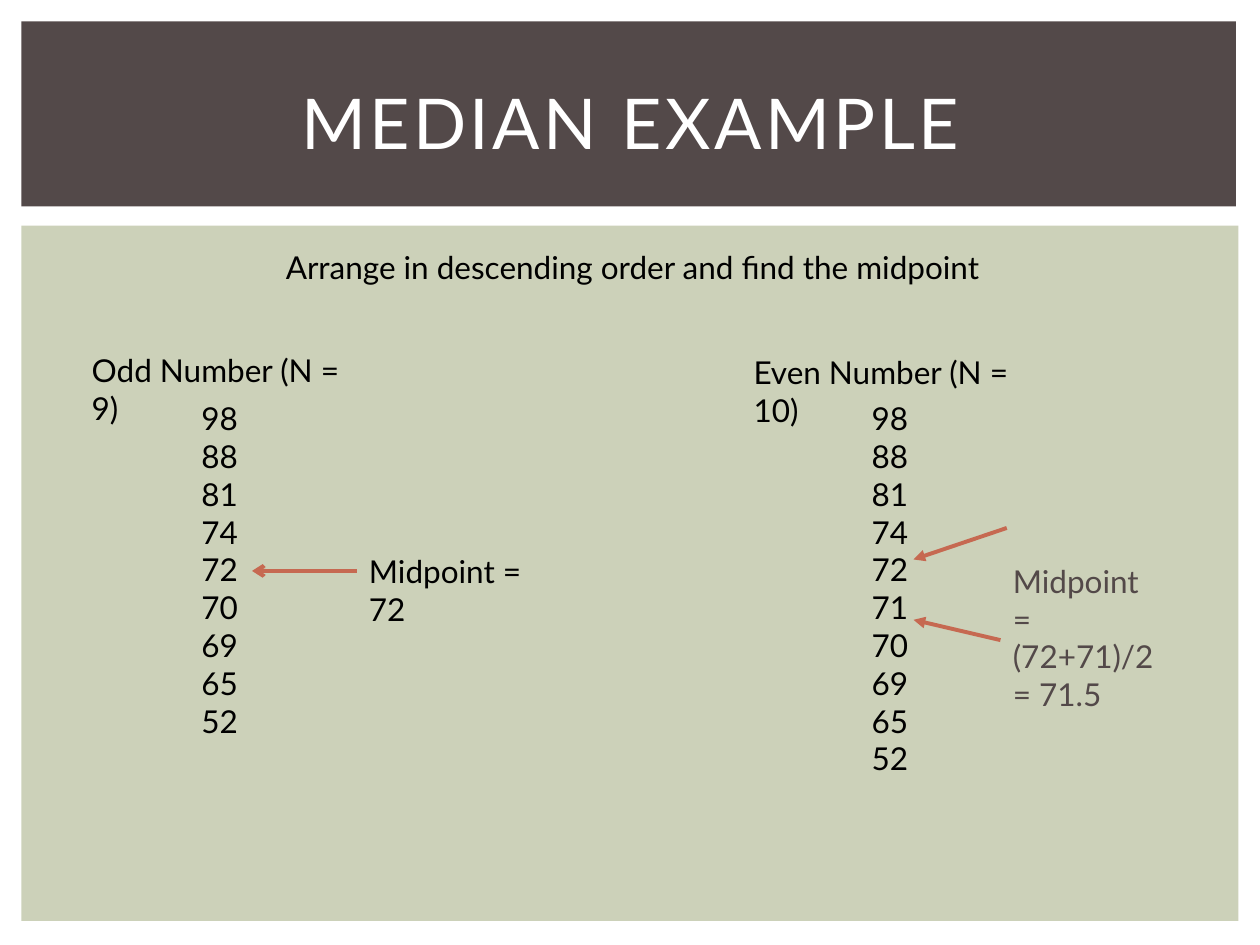
from pptx import Presentation
from pptx.dml.color import RGBColor
from pptx.enum.shapes import MSO_CONNECTOR, MSO_SHAPE
from pptx.enum.text import MSO_ANCHOR, PP_ALIGN
from pptx.oxml.ns import qn
from pptx.util import Pt
from lxml import etree

STRAIGHT = MSO_CONNECTOR.STRAIGHT
RECTANGLE = MSO_SHAPE.RECTANGLE
MIDDLE, TOP = MSO_ANCHOR.MIDDLE, MSO_ANCHOR.TOP
CENTER, LEFT = PP_ALIGN.CENTER, PP_ALIGN.LEFT
BROWN, SAGE, RUST = "534949", "CCD1B9", "C66951"


def color(value):
    return RGBColor.from_string(value)


def add_text(text, left, top, width, height, size=18, ink="000000",
             align=LEFT, anchor=TOP, spacing=0):
    box = page.shapes.add_textbox(Pt(left), Pt(top), Pt(width), Pt(height))
    frame = box.text_frame
    frame.word_wrap = True
    frame.vertical_anchor = anchor
    frame.text = text
    for para in frame.paragraphs:
        para.alignment = align
        for span in para.runs:
            span.font.name = "Lato"
            span.font.size = Pt(size)
            span.font.color.rgb = color(ink)
            if spacing:
                span.font._element.set("spc", str(spacing * 100))
    return box


deck = Presentation()
deck.slide_width, deck.slide_height = Pt(720), Pt(540)
page = deck.slides.add_slide(deck.slide_layouts[6])

for left, top, width, height, fill in [
    (12.24, 128.9, 695.5, 397.4, SAGE),
    (12.24, 12.24, 694, 105.8, BROWN),
]:
    panel = page.shapes.add_shape(RECTANGLE, Pt(left), Pt(top), Pt(width), Pt(height))
    panel.shadow.inherit = False
    panel.fill.solid()
    panel.fill.fore_color.rgb = color(fill)
    panel.line.fill.background()

add_text("MEDIAN EXAMPLE", 30.24, 28, 660, 83, size=40, ink="FFFFFF",
         align=CENTER, anchor=MIDDLE, spacing=2)
add_text("Arrange in descending order and find the midpoint", 156.24, 138.24, 415.5, 29)

odd_scores = [98, 88, 81, 74, 72, 70, 69, 65, 52]
even_scores = sorted(odd_scores + [71], reverse=True)
for scores, left, width in [(odd_scores, 108, 48), (even_scores, 491, 36)]:
    add_text("\n".join(map(str, scores)), left, 224.64, width, 21.6 * len(scores) + 7.2)

add_text("Odd Number (N = 9)", 45.36, 197.28, 174, 29)
add_text("Even Number (N = 10)", 423.5, 198, 187, 29)
odd_midpoint = add_text("Midpoint = 72", 203.76, 311.76, 126, 29)
add_text("Midpoint =\n(72+71)/2\n= 71.5", 571.7, 317.5, 98, 72.7, ink=BROWN)

for start_x, start_y, end_x, end_y, head, source in [
    (575.3, 301.7, 522, 319.7, "triangle", None),
    (571.7, 365.8, 522, 354.2, "triangle", None),
    (203.76, 326.26, 144, 326.26, "arrow", odd_midpoint),
]:
    arrow = page.shapes.add_connector(STRAIGHT, Pt(start_x), Pt(start_y), Pt(end_x), Pt(end_y))
    if source:
        arrow.begin_connect(source, 1)
    arrow.line.color.rgb = color(RUST)
    arrow.line.width = Pt(2.25)
    etree.SubElement(arrow.line._get_or_add_ln(), qn("a:tailEnd"), type=head)
    etree.SubElement(arrow._element.spPr, qn("a:effectLst"))

deck.save("out.pptx")
